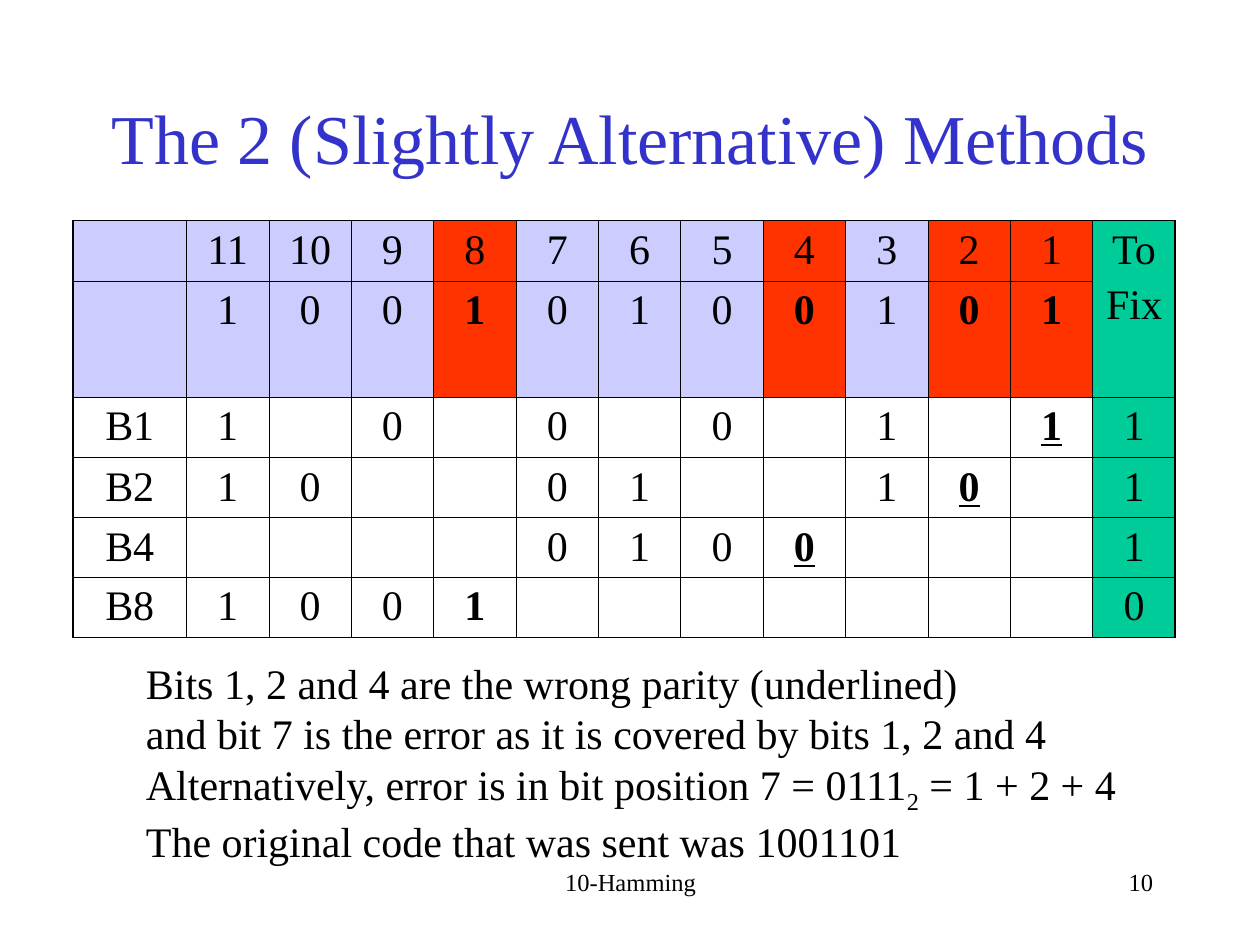
from pptx import Presentation
from pptx import util as u
from pptx.dml.color import RGBColor
from pptx.enum import text
from pptx.oxml.ns import qn
from lxml import etree

# Content: "*" marks bold, "_" marks bold and underlined
TITLE = "The 2 (Slightly Alternative) Methods"
GRID = [
    ["", "11", "10", "9", "8", "7", "6", "5", "4", "3", "2", "1", "To\nFix"],
    ["", "1", "0", "0", "*1", "0", "1", "0", "*0", "1", "*0", "*1", ""],
    ["B1", "1", "", "0", "", "0", "", "0", "", "1", "", "_1", "1"],
    ["B2", "1", "0", "", "", "0", "1", "", "", "1", "_0", "", "1"],
    ["B4", "", "", "", "", "0", "1", "0", "_0", "", "", "", "1"],
    ["B8", "1", "0", "0", "*1", "", "", "", "", "", "", "", "0"],
]
PARITY = {"8", "4", "2", "1"}
# Each line is a list of (text, is subscript)
NOTES = [
    [("Bits 1, 2 and 4 are the wrong parity (underlined)", False)],
    [("and bit 7 is the error as it is covered by bits 1, 2 and 4", False)],
    [("Alternatively, error is in bit position 7 = 0111", False),
     ("2", True), (" = 1 + 2 + 4", False)],
    [("The original code that was sent was 1001101", False)],
]
ALIGN = text.PP_ALIGN
FOOT = [
    ("10-Hamming", (3.42, 6.83, 3.17, 0.5), ALIGN.CENTER),
    ("10", (7.17, 6.83, 2.08, 0.5), ALIGN.RIGHT),
]

THEME = {
    "font": "Times New Roman",
    "size": {"title": 40, "body": 24, "foot": 14},
    "title": "3333CC", "ink": "000000",
    "data": "CCCCFF", "parity": "FF3300", "fix": "00CC99",
    "thin": 0.45, "thick": 1.08,
}

# Layout in inches
HEAD = (0.75, 0.67, 8.5, 0.83)
TABLE = (0.58, 1.75, 8.75, 3.31)
LABEL = 0.9
ROWS = [0.48, 0.92, 0.48, 0.48, 0.47, 0.48]
BODY = (1.06, 5.17, 8.17, 1.76)


def inches(box):
    return [u.Inches(n) for n in box]


def add_run(para, words, size="body", color="ink", **looks):
    run = para.add_run()
    run.text = words
    looks = {"name": THEME["font"], "size": u.Pt(THEME["size"][size]), **looks}
    for key, value in looks.items():
        setattr(run.font, key, value)
    run.font.color.rgb = RGBColor.from_string(THEME[color])
    return run


def add_box(slide, box):
    frame = slide.shapes.add_textbox(*inches(box)).text_frame
    frame.word_wrap = True
    return frame


def set_edges(cell, row, col):
    outer = {"L": col == 0, "R": col == len(GRID[0]) - 1,
             "T": row == 0, "B": row == len(GRID) - 1}
    props = cell._tc.get_or_add_tcPr()
    for side, thick in outer.items():
        width = u.Pt(THEME["thick" if thick else "thin"])
        line = etree.SubElement(props, qn("a:ln" + side), w=str(int(width)))
        fill = etree.SubElement(line, qn("a:solidFill"))
        etree.SubElement(fill, qn("a:srgbClr"), val=THEME["ink"])


def set_fill(cell, row, col):
    if col == len(GRID[0]) - 1:
        tone = "fix"
    elif row < 2:
        tone = "parity" if GRID[0][col] in PARITY else "data"
    else:
        cell.fill.background()
        return
    cell.fill.solid()
    cell.fill.fore_color.rgb = RGBColor.from_string(THEME[tone])


def set_text(cell, words):
    looks = {"bold": words.startswith(("*", "_")),
             "underline": words.startswith("_")}
    cell.margin_bottom = 0  # keeps the rows at their set heights
    frame = cell.text_frame
    for i, line in enumerate(words.lstrip("*_").split("\n")):
        para = frame.add_paragraph() if i else frame.paragraphs[0]
        para.alignment = ALIGN.CENTER
        if i:
            para.space_before = u.Pt(5)
        if line:
            add_run(para, line, **looks)


def add_grid(slide):
    count = len(GRID[0])
    table = slide.shapes.add_table(len(GRID), count, *inches(TABLE)).table
    table.first_row = table.horz_banding = False
    bit = (TABLE[2] - LABEL) / (count - 1)
    for i, col in enumerate(table.columns):
        col.width = u.Inches(bit if i else LABEL)
    for row, high in zip(table.rows, ROWS):
        row.height = u.Inches(high)
    for r, line in enumerate(GRID):
        for c, words in enumerate(line):
            cell = table.cell(r, c)
            set_edges(cell, r, c)
            set_fill(cell, r, c)
            set_text(cell, words)
    table.cell(0, count - 1).merge(table.cell(1, count - 1))


def main():
    deck = Presentation()
    deck.slide_width, deck.slide_height = u.Inches(10), u.Inches(7.5)
    slide = deck.slides.add_slide(deck.slide_layouts[5])

    # Footer and slide number
    for words, box, align in FOOT:
        para = add_box(slide, box).paragraphs[0]
        para.alignment = align
        add_run(para, words, "foot")

    # Title
    title = slide.shapes.title
    title.left, title.top, title.width, title.height = inches(HEAD)
    frame = title.text_frame
    frame.vertical_anchor = text.MSO_ANCHOR.MIDDLE
    frame.paragraphs[0].alignment = ALIGN.CENTER
    add_run(frame.paragraphs[0], TITLE, "title", "title")

    # Parity table
    add_grid(slide)

    # Explanation
    frame = add_box(slide, BODY)
    frame.auto_size = text.MSO_AUTO_SIZE.SHAPE_TO_FIT_TEXT
    for i, line in enumerate(NOTES):
        para = frame.add_paragraph() if i else frame.paragraphs[0]
        for words, sub in line:
            run = add_run(para, words)
            if sub:
                run.font._element.set("baseline", "-25000")

    deck.save("out.pptx")


if __name__ == "__main__":
    main()
